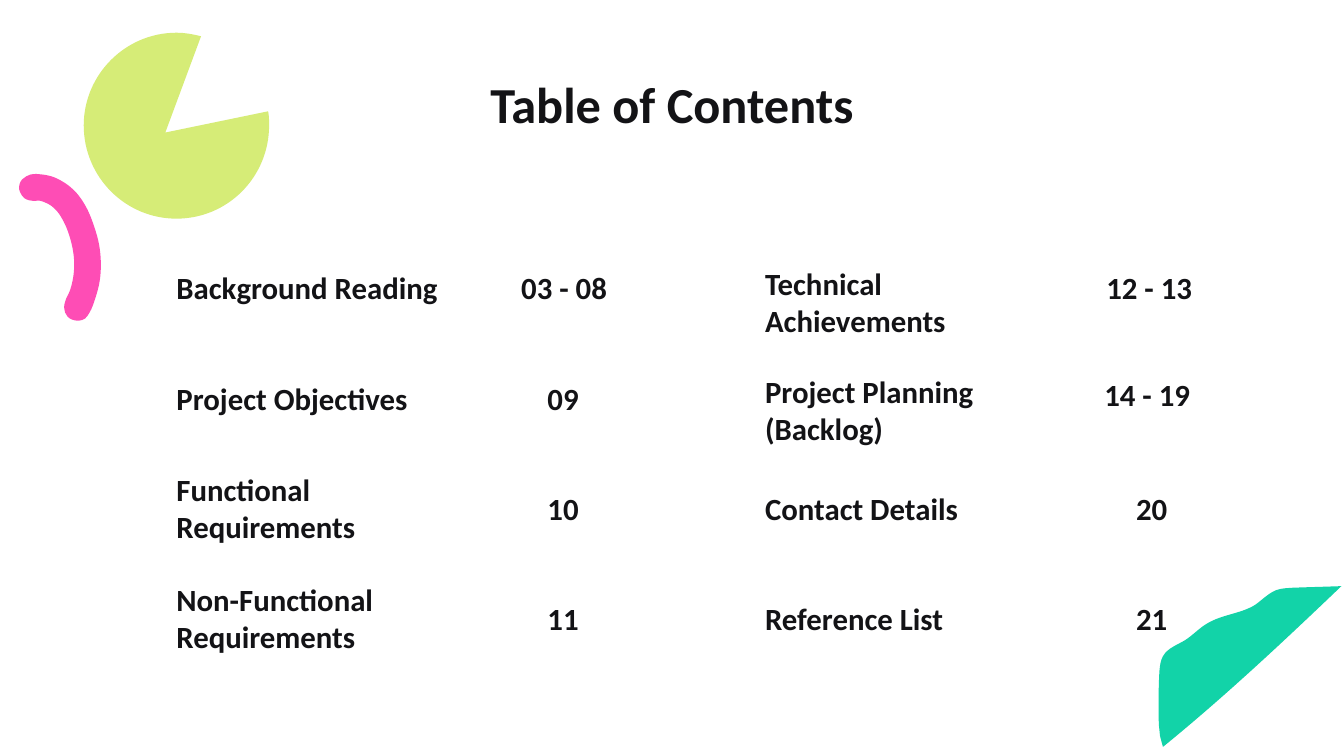
"""Build a table of contents slide with three decorative shapes."""
import math
from typing import NamedTuple

import lxml.etree
import pptx
import pptx.dml.color
import pptx.enum.text
import pptx.oxml.ns
import pptx.util

Cm = pptx.util.Cm
qn = pptx.oxml.ns.qn
ALIGN = pptx.enum.text.PP_ALIGN
ANCHOR = pptx.enum.text.MSO_ANCHOR


class Theme:
    font = "Calibri"
    title_size, entry_size = 72, 44
    ink, lime, pink, teal = "131316", "D6EC77", "FE4DB5", "12D3A8"


class Entry(NamedTuple):
    title: str
    pages: str
    lines: int = 1
    pages_width: float = 4.01
    title_shift: float = 0
    pages_shift: tuple = (0, 0)


TITLE = "Table of Contents"
COLUMNS = [
    [
        Entry("Background Reading", "03 - 08", pages_width=5.44),
        Entry("Project Objectives", "09"),
        Entry("Functional Requirements", "10", lines=2),
        Entry("Non-Functional Requirements", "11", lines=2),
    ],
    [
        Entry("Technical Achievements", "12 - 13", 2, 5.26, 0.69),
        Entry("Project Planning (Backlog)", "14 - 19", 2, 5.26, 0.58, (-0.1, -0.18)),
        Entry("Contact Details", "20"),
        Entry("Reference List", "21"),
    ],
]

SLIDE_W, SLIDE_H = 67.72, 38.1
COLUMN_LEFTS = (8.64, 38.3)
PAGES_OFFSET = 16.76
TITLE_W = 15.8
ROW_TOP, ROW_PITCH = 13.42, 5.55
LINE_HEIGHTS = {1: 2.13, 2: 4.01}

ARCH = [
    (1.7, 10.13), (1.98, 10.11), (2.24, 10.19), (2.57, 10.36), (2.87, 10.64),
    (3.2, 11.15), (3.53, 11.99), (3.74, 13.36), (3.53, 14.63), (3.28, 15.21),
    (3.23, 15.49), (3.28, 15.75), (3.4, 15.95), (3.61, 16.1), (3.78, 16.15),
    (4.14, 16.13), (4.29, 16.05), (4.5, 15.77), (4.8, 15.04), (5.03, 14.12),
    (5.08, 13.16), (5, 12.37), (4.75, 11.43), (4.27, 10.31), (3.86, 9.73),
    (3.48, 9.37), (3.05, 9.09), (2.74, 8.94), (2.08, 8.79), (1.55, 8.79),
    (1.32, 8.89), (1.12, 9.04), (0.99, 9.27), (0.97, 9.55), (1.02, 9.7),
    (1.22, 9.98),
]
PIE = [
    [(8.33, 6.68)],
    [(10.13, 1.83)],
    [(9.75, 1.73), (9.32, 1.65), (8.89, 1.65)],
    [(6.32, 1.65), (4.22, 3.76), (4.22, 6.32)],
    [(4.22, 8.92), (6.32, 11.02), (8.89, 11.02)],
    [(11.48, 11.02), (13.56, 8.92), (13.56, 6.32)],
    [(13.56, 6.1), (13.56, 5.84), (13.51, 5.61)],
]
WAVE = [
    [(65.15, 29.62)],
    [(64.87, 29.64), (64.59, 29.64), (64.31, 29.74)],
    [(63.91, 29.9), (63.6, 30.23), (63.25, 30.48)],
    [(62.51, 30.94), (61.59, 30.96), (60.83, 31.42)],
    [(60.43, 31.65), (60.12, 32), (59.72, 32.26)],
    [(59.31, 32.51), (58.83, 32.66), (58.6, 33.07)],
    [(58.47, 33.3), (58.45, 33.55), (58.42, 33.83)],
    [(58.37, 34.72), (58.37, 35.61), (58.39, 36.5)],
    [(58.45, 37.08)],
    [(58.5, 37.29), (58.55, 37.47), (58.6, 37.64)],
    [(61.72, 35.1), (64.67, 32.33), (67.59, 29.54)],
    [(66.78, 29.57), (65.96, 29.59), (65.15, 29.62)],
]


def rgb(value):
    return pptx.dml.color.RGBColor.from_string(value)


def tangent(before, point, after):
    d0, d1 = math.dist(before, point), math.dist(point, after)
    return [((b - a) * d1 / d0 + (c - b) * d0 / d1) / (d0 + d1)
            for a, b, c in zip(before, point, after)]


def smooth(points):
    count = len(points)
    tangents = [tangent(points[i - 1], p, points[(i + 1) % count])
                for i, p in enumerate(points)]
    segments = [[points[0]]]
    for i, p in enumerate(points):
        j = (i + 1) % count
        reach = math.dist(p, points[j]) / 3
        leave = tuple(a + reach * t for a, t in zip(p, tangents[i]))
        arrive = tuple(a - reach * t for a, t in zip(points[j], tangents[j]))
        segments.append([leave, arrive, points[j]])
    return segments


def add_outline(s, segments, color):
    start, *ends = [tuple(map(Cm, segment[-1])) for segment in segments]
    builder = s.shapes.build_freeform(*start)
    builder.add_line_segments(ends, close=True)
    sp = builder.convert_to_shape()
    sp.shadow.inherit = False
    sp.fill.solid()
    sp.fill.fore_color.rgb = rgb(color)
    sp.line.fill.background()
    lines = list(sp._element.iter(qn("a:lnTo")))
    for line, segment in zip(lines, segments[1:]):
        if len(segment) == 3:
            curve = lxml.etree.Element(qn("a:cubicBezTo"))
            for x, y in segment:
                lxml.etree.SubElement(curve, qn("a:pt"),
                                      x=str(Cm(x) - sp.left), y=str(Cm(y) - sp.top))
            line.getparent().replace(line, curve)


def add_text(s, box, text, size, align, anchor):
    tf = s.shapes.add_textbox(*map(Cm, box)).text_frame
    tf.word_wrap = True
    tf.auto_size = pptx.enum.text.MSO_AUTO_SIZE.SHAPE_TO_FIT_TEXT
    tf.vertical_anchor = anchor
    p = tf.paragraphs[0]
    p.alignment = align
    r = p.add_run()
    r.text = text
    r.font.name = Theme.font
    r.font.size = pptx.util.Pt(size)
    r.font.bold = True
    r.font.color.rgb = rgb(Theme.ink)


def add_entry(s, entry, left, top):
    height, single = LINE_HEIGHTS[entry.lines], LINE_HEIGHTS[1]
    title_top = top + (single - height) / 2 + entry.title_shift
    add_text(s, (left, title_top, TITLE_W, height), entry.title,
             Theme.entry_size, ALIGN.LEFT, ANCHOR.BOTTOM)
    dx, dy = entry.pages_shift
    add_text(s, (left + PAGES_OFFSET + dx, top + dy, entry.pages_width, single),
             entry.pages, Theme.entry_size, ALIGN.RIGHT, ANCHOR.BOTTOM)


def main():
    prs = pptx.Presentation()
    prs.slide_width, prs.slide_height = Cm(SLIDE_W), Cm(SLIDE_H)
    s = prs.slides.add_slide(prs.slide_layouts[6])
    add_outline(s, smooth(ARCH), Theme.pink)
    add_outline(s, PIE, Theme.lime)
    add_outline(s, WAVE, Theme.teal)
    for left, entries in zip(COLUMN_LEFTS, COLUMNS):
        for row, entry in enumerate(entries):
            add_entry(s, entry, left, ROW_TOP + row * ROW_PITCH)
    add_text(s, (4.23, 3.56, 59.26, 3.33), TITLE, Theme.title_size, ALIGN.CENTER, ANCHOR.TOP)
    prs.save("out.pptx")


if __name__ == "__main__":
    main()
